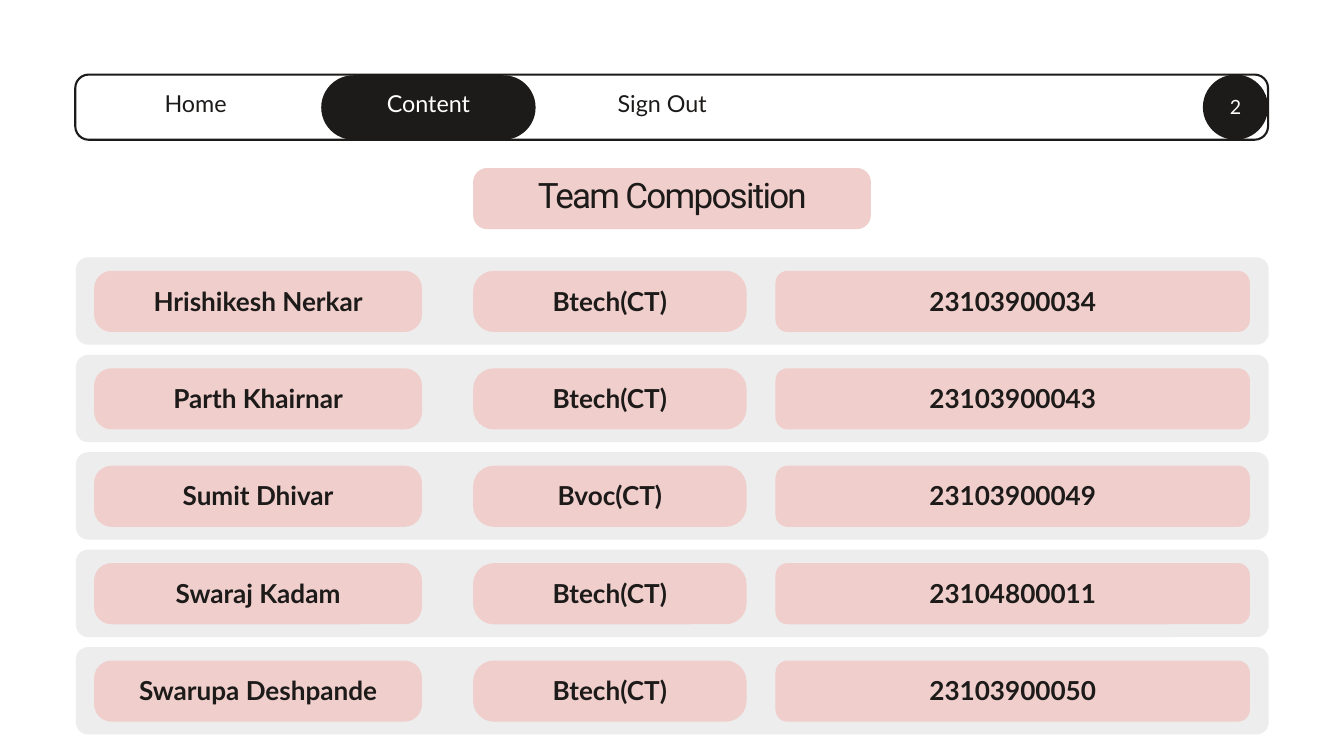
import dataclasses
import typing

import pptx
import pptx.dml.color
import pptx.enum.shapes
import pptx.enum.text
import pptx.util

Inches = pptx.util.Inches
Pt = pptx.util.Pt
KIND = pptx.enum.shapes.MSO_SHAPE
ANCHOR = pptx.enum.text.MSO_ANCHOR
INK, WHITE, PINK, GRAY = "1D1B1A", "FFFFFF", "EFCECB", "EDEDED"


@dataclasses.dataclass
class Box:
    left: float
    top: float
    width: float
    height: float


@dataclasses.dataclass
class Style:
    size: float
    lead: float
    color: str = INK
    bold: bool = False
    face: str = "Lato"
    inset: float = 0.06
    anchor: typing.Any = ANCHOR.MIDDLE


@dataclasses.dataclass
class Tab:
    text: str
    left: float
    width: float
    active: bool = False


@dataclasses.dataclass
class Column:
    left: float
    width: float
    radius: float


@dataclasses.dataclass
class Member:
    course: str
    name: str
    number: str


TABS = [Tab("Home", 1.34, 3.14), Tab("Content", 4.78, 3.19, True), Tab("Sign Out", 8.26, 3.19)]
COLUMNS = [Column(7.04, 4.07, 0.31), Column(1.4, 4.88, 0.26), Column(11.54, 7.06, 0.18)]
TEAM = [
    Member("Btech(CT)", "Hrishikesh Nerkar", "23103900034"),
    Member("Btech(CT)", "Parth Khairnar", "23103900043"),
    Member("Bvoc(CT)", "Sumit Dhivar", "23103900049"),
    Member("Btech(CT)", "Swaraj Kadam", "23104800011"),
    Member("Btech(CT)", "Swarupa Deshpande", "23103900050"),
]
FIRST, STEP = 3.83, 1.45


def paint(color: str) -> pptx.dml.color.RGBColor:
    return pptx.dml.color.RGBColor.from_string(color)


def apply(item: typing.Any, values: dict[str, typing.Any]) -> None:
    for key, value in values.items():
        setattr(item, key, value)


def place(box: Box) -> dict[str, int]:
    return {key: Inches(value) for key, value in dataclasses.asdict(box).items()}


def draw_shape(slide: typing.Any, box: Box, color: str, radius: float, line: str = "") -> None:
    shape = slide.shapes.add_shape(KIND.ROUNDED_RECTANGLE, **place(box))
    shape.adjustments[0] = radius / min(box.width, box.height)
    shape.shadow.inherit = False
    shape.fill.solid()
    shape.fill.fore_color.rgb = paint(color)
    if line:
        shape.line.color.rgb = paint(line)
        shape.line.width = Pt(2.25)
    else:
        shape.line.fill.background()


def write(shape: typing.Any, text: str, style: Style) -> None:
    frame = shape.text_frame
    frame.text = text
    sides = ("left", "top", "right", "bottom")
    apply(frame, {f"margin_{side}": Inches(style.inset) for side in sides})
    apply(frame, {
        "word_wrap": True,
        "auto_size": pptx.enum.text.MSO_AUTO_SIZE.NONE,
        "vertical_anchor": style.anchor,
    })
    para = frame.paragraphs[0]
    apply(para, {"alignment": pptx.enum.text.PP_ALIGN.CENTER, "line_spacing": Pt(style.lead)})
    font = para.runs[0].font
    apply(font, {"name": style.face, "size": Pt(style.size), "bold": style.bold})
    font.color.rgb = paint(style.color)


def draw_text(slide: typing.Any, box: Box, text: str, style: Style) -> None:
    write(slide.shapes.add_textbox(**place(box)), text, style)


def draw_menu(slide: typing.Any) -> None:
    draw_shape(slide, Box(1.12, 1.11, 17.75, 0.97), WHITE, 0.2, INK)
    draw_shape(slide, Box(17.9, 1.11, 0.97, 0.97), INK, 0.485)
    draw_text(slide, Box(17.99, 1.14, 0.79, 0.85), "2", Style(21, 29.4, WHITE, inset=0.08))
    for tab in TABS:
        box = Box(tab.left, 0.99, tab.width, 1.01)
        if tab.active:
            draw_shape(slide, Box(tab.left, 1.12, tab.width, 0.96), INK, 0.48)
            box = Box(tab.left, 0.93, tab.width, 1.15)
        draw_text(slide, box, tab.text, Style(25, 35, WHITE if tab.active else INK))


def draw_title(slide: typing.Any) -> None:
    draw_shape(slide, Box(7.04, 2.5, 5.92, 0.91), PINK, 0.21)
    title = slide.shapes.title
    slide.shapes._spTree.append(title._element)
    apply(title, place(Box(7.71, 2.74, 4.59, 0.53)))
    style = Style(37.5, 33.7, face="Roboto", inset=0, anchor=ANCHOR.TOP)
    write(title, "Team Composition", style)
    title.text_frame.paragraphs[0].runs[0].font._element.set("spc", "-190")


def draw_row(slide: typing.Any, top: float, member: Member) -> None:
    draw_shape(slide, Box(1.13, top, 17.75, 1.3), GRAY, 0.18)
    for col, text in zip(COLUMNS, dataclasses.astuple(member)):
        draw_shape(slide, Box(col.left, top + 0.2, col.width, 0.91), PINK, col.radius)
        box = Box(col.left, top + 0.1, col.width, 1.01)
        draw_text(slide, box, text, Style(28, 39.2, bold=True))


def main() -> None:
    deck = pptx.Presentation()
    apply(deck, {"slide_width": Inches(20), "slide_height": Inches(11.25)})
    slide = deck.slides.add_slide(deck.slide_layouts[5])
    draw_menu(slide)
    draw_title(slide)
    for index, member in enumerate(TEAM):
        draw_row(slide, FIRST + index * STEP, member)
    deck.save("out.pptx")


if __name__ == "__main__":
    main()
